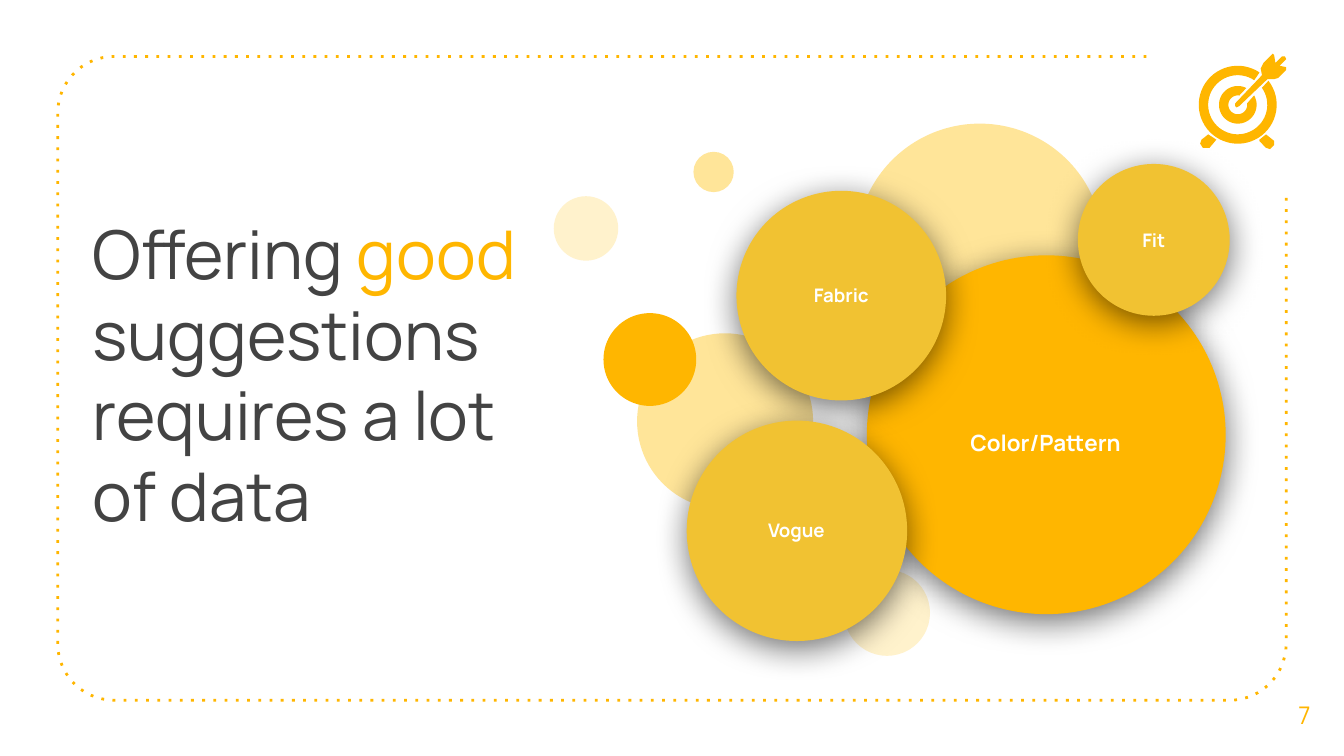
"""Build the slide on the data that good suggestions need."""
from math import cos, radians, sin

from lxml.etree import SubElement
from pptx import Presentation
from pptx.dml.color import RGBColor
from pptx.enum.dml import MSO_LINE
from pptx.enum.shapes import MSO_SHAPE
from pptx.enum.text import MSO_ANCHOR, MSO_AUTO_SIZE, PP_ALIGN
from pptx.oxml.ns import qn
from pptx.util import Pt

PX = 9144
GOLD, SAND, PALE, CREAM = "FFB600", "F1C232", "FFE599", "FFF2CC"
color = RGBColor.from_string


def arc(x, y, r, start, end):
    steps = max(6, round(abs(end - start) / 6))
    turns = [radians(start + (end - start) * i / steps) for i in range(steps + 1)]
    return [(x + r * cos(t), y + r * sin(t)) for t in turns]


def write(shape, runs, size, align, anchor, bold=False):
    frame = shape.text_frame
    frame.word_wrap = True
    frame.auto_size = MSO_AUTO_SIZE.NONE
    frame.vertical_anchor = anchor
    frame.margin_left = frame.margin_right = 10 * PX
    frame.margin_top = frame.margin_bottom = 10 * PX
    line = frame.paragraphs[0]
    line.alignment = align
    line.font.name, line.font.size, line.font.bold = "Manrope", Pt(size), bold
    for text, tint in runs:
        run = line.add_run()
        run.text = text
        run.font.color.rgb = color(tint)
    return line


deck = Presentation()
deck.slide_width = 1000 * PX
deck.slide_height = deck.slide_width * 9 // 16
slide = deck.slides.add_slide(deck.slide_layouts[5])
shapes = slide.shapes

title = shapes.title
title.left, title.top, title.width, title.height = [n * PX for n in (59, 148, 364, 267)]
words = [("Offering ", "434343"), ("good ", GOLD),
         ("suggestions requires a lot of data", "434343")]
line = write(title, words, 36, PP_ALIGN.LEFT, MSO_ANCHOR.TOP)
line.line_spacing = Pt(43.2)

border = [(853, 42), *arc(85, 84, 42, 270, 180), *arc(85, 479, 42, 180, 90),
          *arc(915, 479, 42, 90, 0), (957, 146)]
outer = arc(921, 78, 29, -38, 304) + arc(921, 78, 22, 304, -35)
inner = arc(921, 78, 14, -30, 297) + arc(921, 78, 7, 279, -9)
left = [(899, 100), (894, 104), (893, 107), (895, 110), (898, 110), (900, 110),
        (905, 104), (902, 102)]
right = [(942, 100), (937, 104), (937, 105), (942, 110), (945, 111), (948, 108),
         (948, 105), (947, 104)]
arrow = [(947, 40), (940, 47), (938, 51), (939, 56), (919, 77), (919, 79), (920, 80),
         (922, 79), (943, 59), (948, 59), (951, 58), (957, 52), (957, 50), (952, 49),
         (957, 44), (956, 42), (954, 42), (949, 47), (948, 41)]

for points in (border, outer, inner, left, right, arrow):
    path = [(round(x * PX), round(y * PX)) for x, y in points]
    pen = shapes.build_freeform(*path[0])
    pen.add_line_segments(path[1:], close=points is not border)
    form = pen.convert_to_shape()
    form.shadow.inherit = False
    if points is border:
        form.fill.background()
        form.line.color.rgb = color(GOLD)
        form.line.width = Pt(1.5)
        form.line.dash_style = MSO_LINE.ROUND_DOT
        form.element.xpath(".//a:prstDash")[0].set("val", "dot")
    else:
        form.fill.solid()
        form.fill.fore_color.rgb = color(GOLD)
        form.line.fill.background()

number = shapes.add_textbox(941 * PX, 502 * PX, 59 * PX, 60 * PX)
write(number, [("7", GOLD)], 13, PP_ALIGN.CENTER, MSO_ANCHOR.MIDDLE)

circles = [
    (628, 424, 64, CREAM, None), (412, 146, 48, CREAM, None),
    (474, 248, 131, PALE, None), (637, 92, 184, PALE, None),
    (449, 233, 69, GOLD, None), (516, 113, 30, PALE, None),
    (645, 190, 267, GOLD, ("Color/Pattern", 12, 676, 266, 204, 127)),
    (548, 142, 156, SAND, ("Fabric", 10, 573, 168, 106, 103)),
    (511, 313, 164, SAND, ("Vogue", 10, 534, 343, 117, 103)),
    (802, 122, 113, SAND, ("Fit", 10, 820, 141, 77, 75)),
]
for x, y, size, tint, label in circles:
    disc = shapes.add_shape(MSO_SHAPE.OVAL, x * PX, y * PX, size * PX, size * PX)
    disc.fill.solid()
    disc.fill.fore_color.rgb = color(tint)
    disc.line.fill.background()
    disc.shadow.inherit = False
    if label:
        effect = disc.element.xpath("./p:spPr/a:effectLst")[0]
        shade = SubElement(effect, qn("a:outerShdw"), blurRad=str(Pt(18)),
                           dist=str(Pt(4)), dir="5400000", algn="bl", rotWithShape="0")
        black = SubElement(shade, qn("a:srgbClr"), val="000000")
        SubElement(black, qn("a:alpha"), val="55000")
        text, points, *place = label
        box = shapes.add_textbox(*[n * PX for n in place])
        write(box, [(text, "FFFFFF")], points, PP_ALIGN.CENTER, MSO_ANCHOR.MIDDLE, True)

deck.save("out.pptx")
